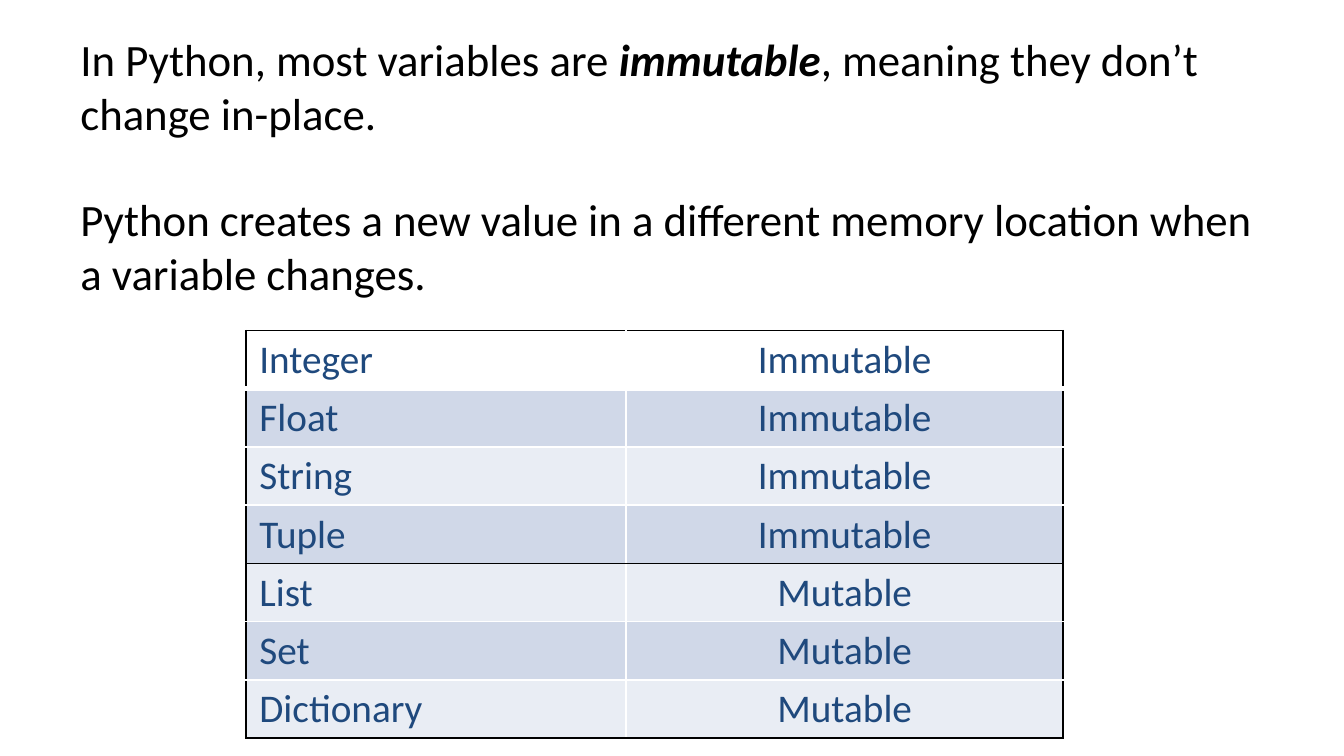
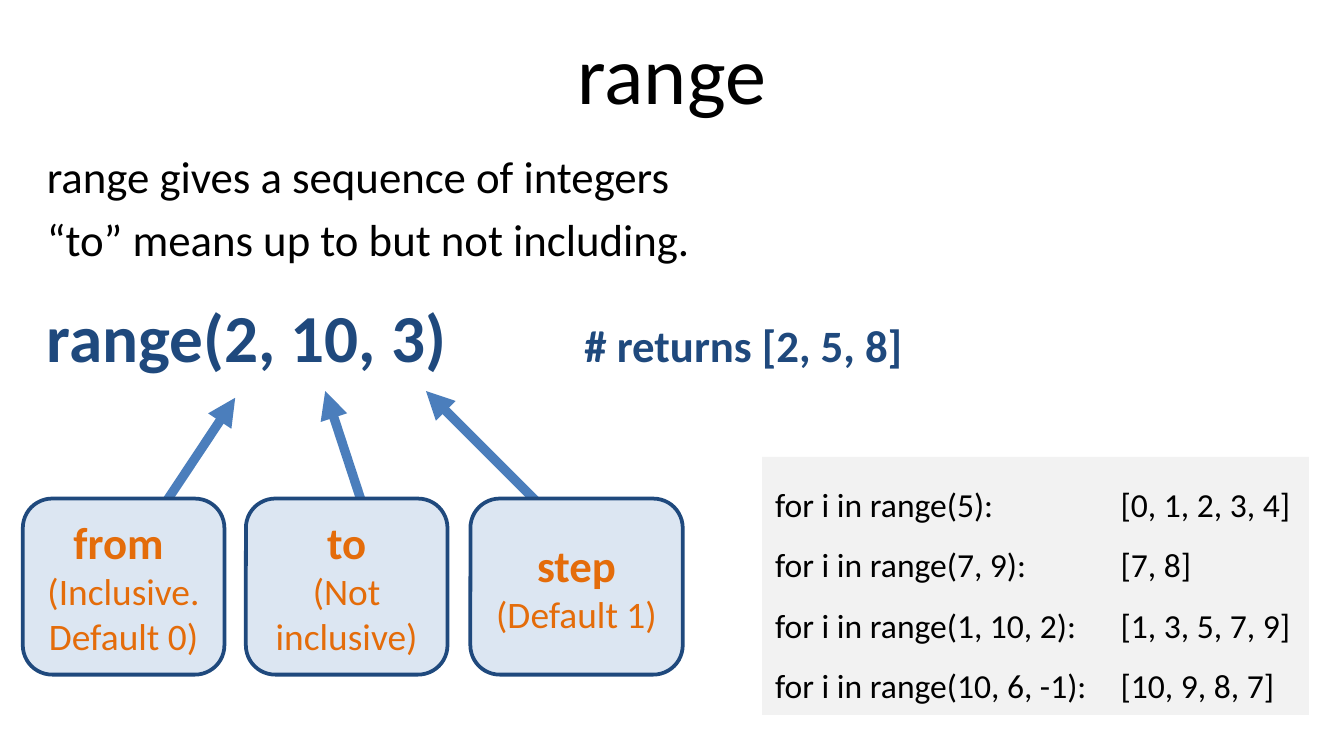
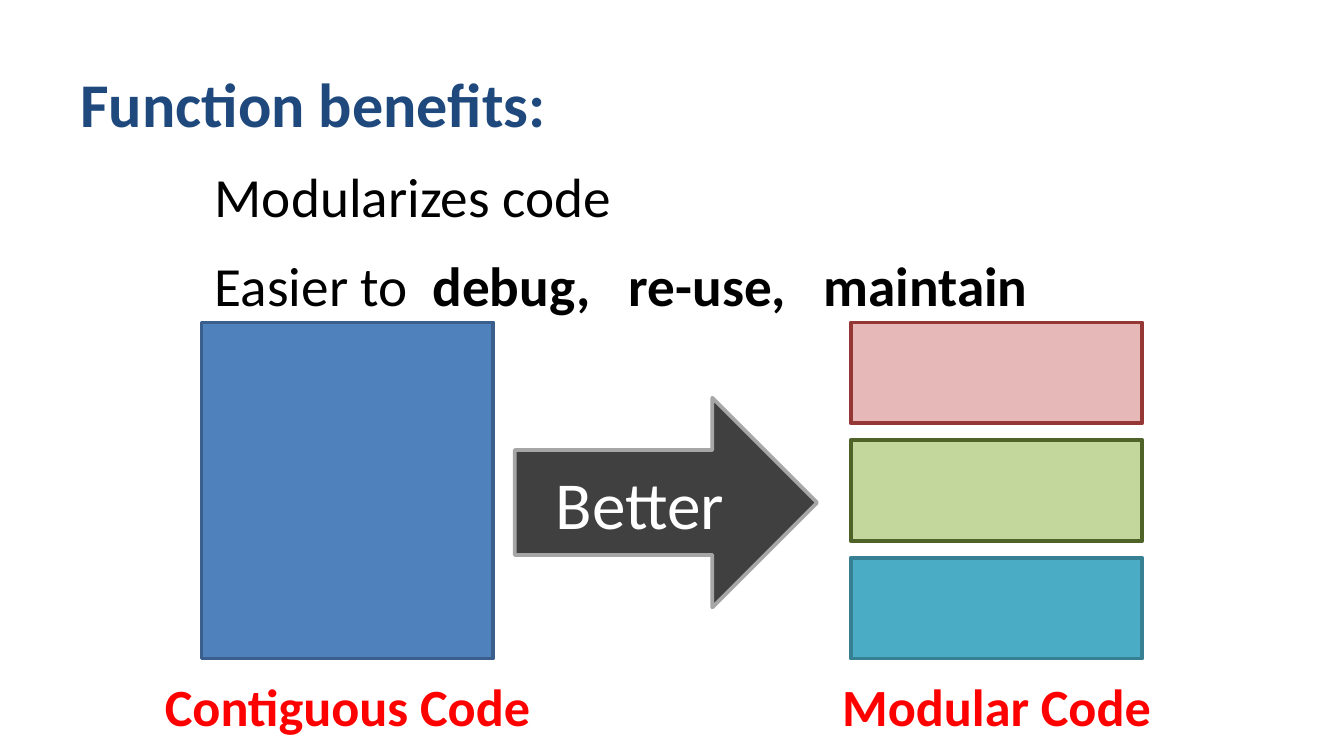
from dataclasses import dataclass
from lxml import etree
from pptx import Presentation
from pptx.dml.color import RGBColor
from pptx.enum import shapes, text
from pptx.oxml import ns
from pptx.util import Inches, Pt


@dataclass(frozen=True)
class Theme:
    font: str = "Calibri"
    black: str = "000000"
    white: str = "FFFFFF"
    navy: str = "1F497D"
    blue: str = "4F81BD"
    arrow: str = "4B7EBC"
    pale_blue: str = "DCE6F2"
    orange: str = "E46C0A"
    red: str = "FF0000"
    panel: str = "F2F2F2"
    bands: tuple = ("E9EDF4", "D0D8E8")
    title: float = 44
    code: float = 36
    heading: float = 33.3
    benefit: float = 29.6
    caption: float = 28
    body: float = 24
    cell: float = 21
    note: float = 20
    example: float = 18


T = Theme()
SHAPE = shapes.MSO_SHAPE
CENTER, LEFT = text.PP_ALIGN.CENTER, text.PP_ALIGN.LEFT
MIDDLE, TOP = text.MSO_ANCHOR.MIDDLE, text.MSO_ANCHOR.TOP


def box(s, at, kind=None, fill=None, line=None):
    """A text box, or a preset shape when a kind is given."""
    at = [Inches(v) for v in at]
    if kind is None:
        sp = s.shapes.add_textbox(*at)
    else:
        sp = s.shapes.add_shape(kind, *at)
        sp.shadow.inherit = False
        sp.fill.solid()
        sp.fill.fore_color.rgb = RGBColor.from_string(fill)
        if line:
            sp.line.color.rgb = RGBColor.from_string(line)
            sp.line.width = Pt(2)
        else:
            sp.line.fill.background()
    sp.text_frame.word_wrap = True
    return sp


def write(tf, paragraphs, align=LEFT, anchor=TOP, before=0, after=0, spacing=None, tabs=()):
    """Each paragraph is a list of runs: (text, size, colour, style letters)."""
    tf.vertical_anchor = anchor
    for i, runs in enumerate(paragraphs):
        p = tf.add_paragraph() if i else tf.paragraphs[0]
        p.alignment = align
        p.space_before, p.space_after = Pt(before), Pt(after)
        if spacing:
            p.line_spacing = spacing
        if tabs:
            stops = etree.SubElement(p._p.get_or_add_pPr(), ns.qn("a:tabLst"))
            for stop in tabs:
                etree.SubElement(stops, ns.qn("a:tab"), pos=str(Inches(stop)), algn="l")
        for words, size, color, style in runs:
            r = p.add_run()
            r.text = words
            r.font.name, r.font.size = T.font, Pt(size)
            r.font.color.rgb = RGBColor.from_string(color)
            r.font.bold, r.font.italic = "b" in style, "i" in style


prs = Presentation()
prs.slide_width = Inches(10)
prs.slide_height = prs.slide_width * 9 // 16
blank = prs.slide_layouts[6]

# Slide 1: mutable and immutable types
s = prs.slides.add_slide(blank)
write(box(s, (0.5, 0.19, 9, 2.25)).text_frame, [
    [("In Python, most variables are ", T.body, T.black, ""),
     ("immutable", T.body, T.black, "bi"),
     (", meaning they don’t change in-place. ", T.body, T.black, "")],
    [("Python creates a new value in a different memory location when a variable changes.",
      T.body, T.black, "")],
], after=28)

immutable = ["Integer", "Float", "String", "Tuple"]
mutable = ["List", "Set", "Dictionary"]
rows = [(n, "Immutable") for n in immutable] + [(n, "Mutable") for n in mutable]
last, split = len(rows) - 1, len(immutable)
table = s.shapes.add_table(len(rows), 2, Inches(1.83), Inches(2.46),
                           Inches(6.08), Inches(2.98)).table
table.first_row = table.horz_banding = False
table.columns[0].width, table.columns[1].width = Inches(2.83), Inches(3.25)
for i, row in enumerate(rows):
    for j, words in enumerate(row):
        cell = table.cell(i, j)
        cell.margin_left = cell.margin_right = Inches(0.1)
        cell.margin_top = cell.margin_bottom = Pt(3)
        write(cell.text_frame, [[(words, T.cell, T.navy, "")]], CENTER if j else LEFT)
        # Black outline and group divider, white lines elsewhere
        dark = {"L": j == 0, "R": j == 1, "T": i in (0, split), "B": i in (split - 1, last)}
        tcPr = cell._tc.get_or_add_tcPr()
        for side, is_dark in dark.items():
            width = 3 if i == 0 and side == "B" else 1
            ln = etree.SubElement(tcPr, ns.qn("a:ln" + side), w=str(Pt(width)))
            fill = etree.SubElement(ln, ns.qn("a:solidFill"))
            etree.SubElement(fill, ns.qn("a:srgbClr"), val=T.black if is_dark else T.white)
        if i == 0:
            cell.fill.background()
        else:
            cell.fill.solid()
            cell.fill.fore_color.rgb = RGBColor.from_string(T.bands[i % 2])

# Slide 2: range
s = prs.slides.add_slide(blank)
write(box(s, (0.5, 0.06, 9, 0.94)).text_frame,
      [[("range", T.title, T.black, "")]], CENTER, MIDDLE)
write(box(s, (0.25, 1.06, 9, 1.17)).text_frame,
      [[(words, T.body, T.black, "")] for words in
       ("range gives a sequence of integers", "“to” means up to but not including.")],
      before=4.8)

# Loop examples
examples = [("5", "[0, 1, 2, 3, 4]"), ("7, 9", "[7, 8]"),
            ("1, 10, 2", "[1, 3, 5, 7, 9]"), ("10, 6, -1", "[10, 9, 8, 7]")]
tf = box(s, (5.67, 3.4, 4.07, 1.92), SHAPE.RECTANGLE, T.panel).text_frame
tf.word_wrap = False
write(tf, [[(f"for i in range({args}):\t{result}", T.example, T.black, "")]
           for args, result in examples], spacing=1.5, tabs=[2.57])

# Argument boxes, each with an arrow to its place in the call
arguments = [
    (0.17, 1.5, (0.96, 4.15, 1.75, 2.96), "from ", ["(Inclusive.", "Default 0)"]),
    (1.83, 1.5, (2.83, 4.16, 2.42, 2.91), "to", ["(Not inclusive)"]),
    (3.5, 1.58, (4.42, 4.16, 3.17, 2.91), "step", ["(Default 1)"]),
]
for left, width, ends, name, notes in arguments:
    arrow = s.shapes.add_connector(shapes.MSO_CONNECTOR.STRAIGHT, *[Inches(v) for v in ends])
    arrow.line.color.rgb = RGBColor.from_string(T.arrow)
    arrow.line.width = Pt(5)
    etree.SubElement(arrow.line._get_or_add_ln(), ns.qn("a:tailEnd"), type="triangle")
    etree.SubElement(arrow._element.spPr, ns.qn("a:effectLst"))
    sp = box(s, (left, 3.71, width, 1.31), SHAPE.ROUNDED_RECTANGLE, T.pale_blue, T.navy)
    write(sp.text_frame, [[(name, T.body, T.orange, "b")]]
          + [[(note, T.note, T.orange, "")] for note in notes], CENTER, MIDDLE)

write(box(s, (0.25, 2.15, 7.08, 0.83)).text_frame,
      [[("range(2, 10, 3)", T.code, T.navy, "b"),
        ("\t# returns [2, 5, 8]", T.body, T.navy, "b")]], before=7.2, tabs=[4])

# Slide 3: function benefits
s = prs.slides.add_slide(blank)
write(box(s, (0.5, 0.44, 9, 1.81)).text_frame, [
    [("Function benefits:", T.heading, T.navy, "b")],
    [("\tModularizes code", T.benefit, T.black, "")],
    [("\tEasier to", T.benefit, T.black, ""),
     ("\tdebug,\tre-use,\tmaintain", T.benefit, T.black, "b")],
], after=12, tabs=[1, 2.62, 4.08, 5.53])

# One block against three modules
top, height, module_height = 2.4, 2.5, 0.75
box(s, (1.5, top, 2.17, height), SHAPE.RECTANGLE, T.blue, "3A5F8C")
modules = [("E6B9B8", "953735"), ("C3D69B", "4F6228"), ("4BACC6", "377F92")]
step = (height - module_height) / (len(modules) - 1)
for i, (fill, line) in enumerate(modules):
    box(s, (6.33, top + i * step, 2.17, module_height), SHAPE.RECTANGLE, fill, line)

for left, words in ((0.67, "Contiguous Code"), (5.5, "Modular Code")):
    write(box(s, (left, 4.97, 3.83, 0.57)).text_frame,
          [[(words, T.caption, T.red, "b")]], CENTER)

arrow = box(s, (3.83, 2.96, 2.25, 1.56), SHAPE.RIGHT_ARROW, "404040", "A6A6A6")
write(arrow.text_frame, [[("Better", T.code, T.white, "")]], CENTER, MIDDLE)

prs.save("out.pptx")
